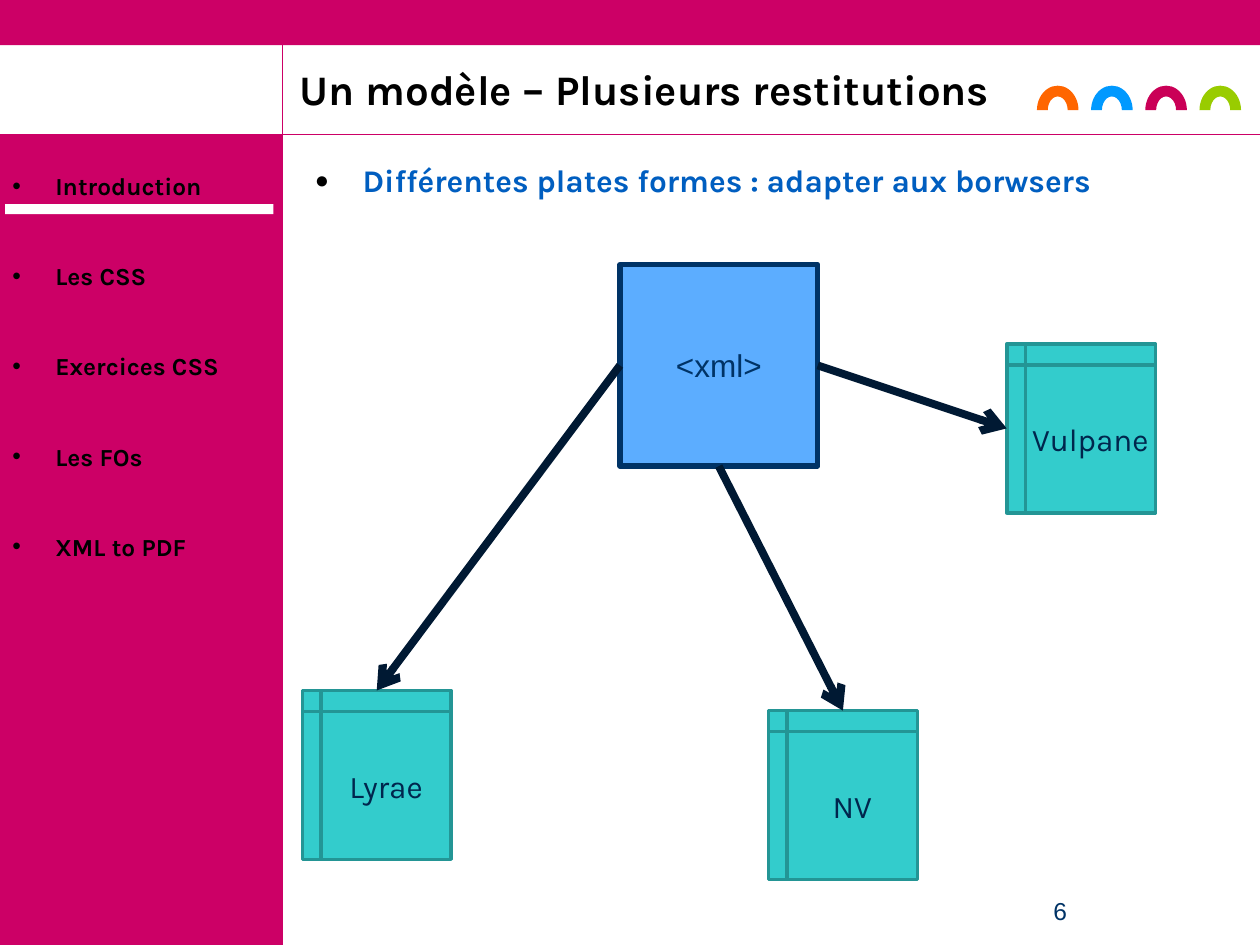
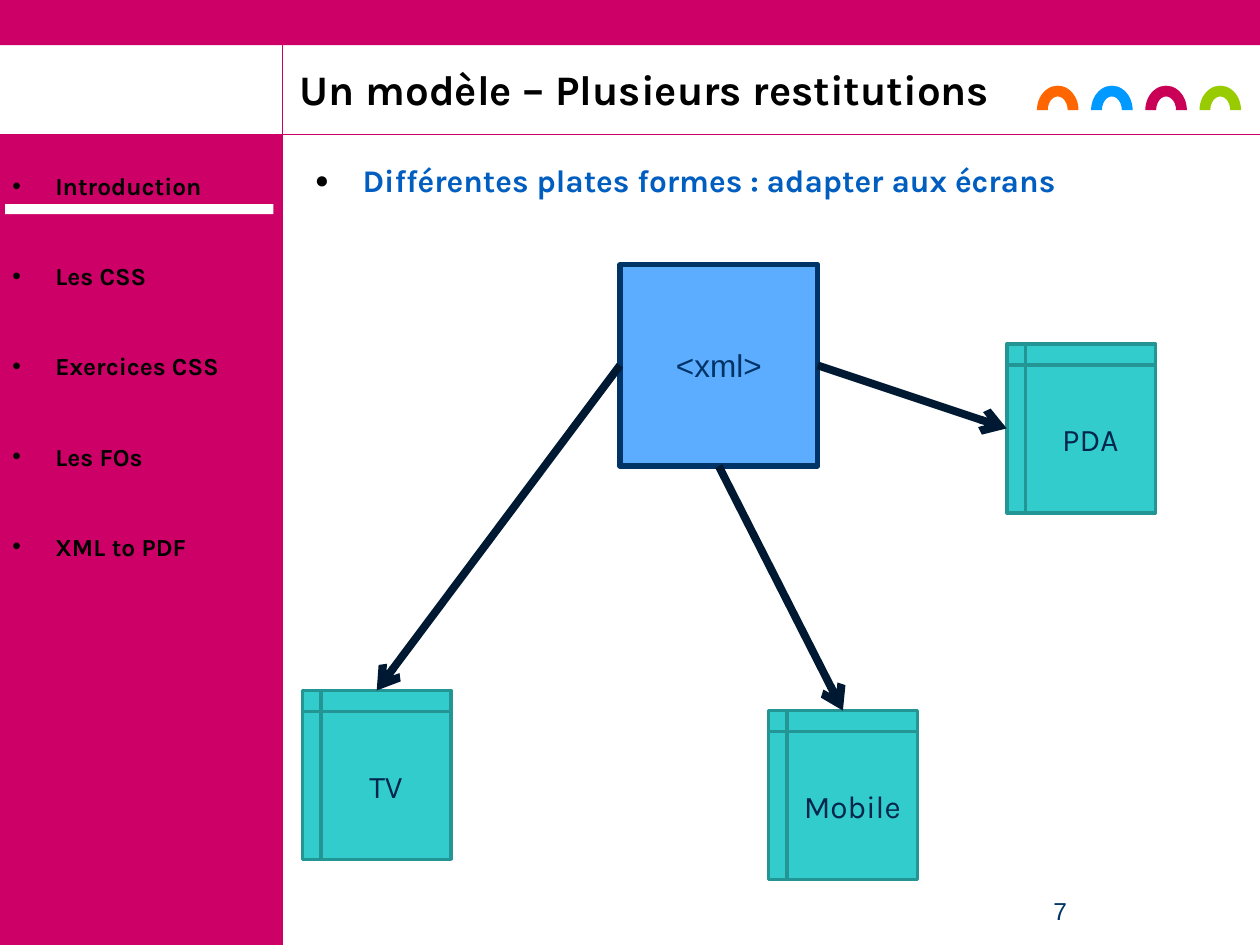
import pptx
import pptx.util
import pptx.dml.color
import pptx.enum.shapes
import pptx.enum.text
import pptx.oxml
import pptx.oxml.ns

Inches = pptx.util.Inches
Pt = pptx.util.Pt
RGBColor = pptx.dml.color.RGBColor
SHAPE = pptx.enum.shapes.MSO_SHAPE
STRAIGHT = pptx.enum.shapes.MSO_CONNECTOR.STRAIGHT
ANCHOR = pptx.enum.text.MSO_ANCHOR
ALIGN = pptx.enum.text.PP_ALIGN

TITLE = "Un modèle – Plusieurs restitutions"
CHAPTERS = ["Introduction", "Les CSS", "Exercices CSS", "Les FOs", "XML to PDF"]
SOURCE_LABEL = "<xml>"
SLIDES = [
    {
        "number": "6",
        "topic": "Différentes plates formes : adapter aux borwsers",
        "targets": ["Vulpane", "NV", "Lyrae"],
    },
    {
        "number": "7",
        "topic": "Différentes plates formes : adapter aux écrans",
        "targets": ["PDA", "Mobile", "TV"],
    },
]

BLACK = RGBColor(0x00, 0x00, 0x00)
WHITE = RGBColor(0xFF, 0xFF, 0xFF)
MAGENTA = RGBColor(0xCC, 0x00, 0x66)
TOPIC_BLUE = RGBColor(0x00, 0x5E, 0xC0)
NAVY = RGBColor(0x00, 0x33, 0x66)
SOURCE_BLUE = RGBColor(0x5C, 0xAD, 0xFF)
TARGET_TEAL = RGBColor(0x33, 0xCC, 0xCC)
TARGET_EDGE = RGBColor(0x23, 0x95, 0x95)
TARGET_INK = RGBColor(0x00, 0x26, 0x4D)
ARROW_INK = RGBColor(0x00, 0x19, 0x33)
ARCH_COLORS = [
    RGBColor(0xFF, 0x66, 0x00),
    RGBColor(0x00, 0x99, 0xFF),
    RGBColor(0xCA, 0x00, 0x57),
    RGBColor(0x99, 0xCC, 0x00),
]

WIDTH, HEIGHT = 10, 7.5
BAND_HEIGHT = 0.36
HEADER_BOTTOM = 1.07
SIDEBAR_WIDTH = 2.24
ARCH_LEFT, ARCH_PITCH = 8.23, 0.43
SOURCE_BOX = (4.92, 2.1, 1.57, 1.6)
TARGET_SIZE = (1.18, 1.34)
TOP, LEFT, BOTTOM, RIGHT = range(4)
ROUTES = [
    {"corner": (7.99, 2.73), "leaves": RIGHT, "enters": LEFT},
    {"corner": (6.1, 5.64), "leaves": BOTTOM, "enters": TOP},
    {"corner": (2.4, 5.48), "leaves": LEFT, "enters": TOP},
]

TITLE_FONT = {"name": "Karla", "size": Pt(24), "bold": True}
TOPIC_FONT = {"name": "Karla", "size": Pt(18), "bold": True}
CHAPTER_FONT = {"name": "Karla", "size": Pt(14), "bold": True}
TARGET_FONT = {"name": "Karla", "size": Pt(18)}
SOURCE_FONT = {"name": "Arial", "size": Pt(18)}
NUMBER_FONT = {"name": "Arial", "size": Pt(14)}


def apply(target, values):
    for name, value in values.items():
        setattr(target, name, value)


def write(paragraph, text, font, color, **layout):
    run = paragraph.add_run()
    run.text = text
    apply(run.font, font)
    run.font.color.rgb = color
    apply(paragraph, layout)


def add_bullet(paragraph, symbol, indent, percent=100):
    properties = paragraph._p.get_or_add_pPr()
    properties.set("marL", str(Inches(indent)))
    properties.set("indent", str(-Inches(indent)))
    namespace = pptx.oxml.ns.nsdecls("a")
    for markup in (
        f'<a:buClr {namespace}><a:srgbClr val="{BLACK}"/></a:buClr>',
        f'<a:buSzPct {namespace} val="{percent * 1000}"/>',
        f'<a:buFont {namespace} typeface="Arial"/>',
        f'<a:buChar {namespace} char="{symbol}"/>',
    ):
        properties.append(pptx.oxml.parse_xml(markup))


def add_text_area(slide, box, anchor=ANCHOR.TOP):
    frame = slide.shapes.add_textbox(*map(Inches, box)).text_frame
    apply(frame, {"word_wrap": True, "vertical_anchor": anchor})
    return frame


def add_block(slide, preset, box, fill, edge=None, edge_width=0):
    block = slide.shapes.add_shape(preset, *map(Inches, box))
    block.shadow.inherit = False
    block.fill.solid()
    block.fill.fore_color.rgb = fill
    if edge is None:
        block.line.fill.background()
    else:
        block.line.color.rgb = edge
        block.line.width = Pt(edge_width)
    return block


def add_node(slide, preset, box, fill, edge, edge_width, label, font, ink):
    node = add_block(slide, preset, box, fill, edge, edge_width)
    apply(node.text_frame, {"word_wrap": False, "vertical_anchor": ANCHOR.MIDDLE})
    write(node.text_frame.paragraphs[0], label, font, ink, alignment=ALIGN.CENTER)
    return node


def add_rule(slide, ends, color, width):
    rule = slide.shapes.add_connector(STRAIGHT, *map(Inches, ends))
    rule.line.color.rgb = color
    rule.line.width = Pt(width)
    namespace = pptx.oxml.ns.nsdecls("a")
    rule._element.spPr.append(pptx.oxml.parse_xml(f"<a:effectLst {namespace}/>"))
    return rule


def add_arrow(slide, source, leaves, target, enters):
    arrow = add_rule(slide, (0, 0, 1, 1), ARROW_INK, 4.5)
    arrow.begin_connect(source, leaves)
    arrow.end_connect(target, enters)
    namespace = pptx.oxml.ns.nsdecls("a")
    arrow.line._get_or_add_ln().append(
        pptx.oxml.parse_xml(f'<a:tailEnd {namespace} type="arrow"/>')
    )


def add_frame(slide):
    sidebar = (0, HEADER_BOTTOM, SIDEBAR_WIDTH, HEIGHT - HEADER_BOTTOM)
    for band in (sidebar, (0, 0, WIDTH, BAND_HEIGHT)):
        add_block(slide, SHAPE.RECTANGLE, band, MAGENTA)
    add_rule(slide, (0, HEADER_BOTTOM, WIDTH, HEADER_BOTTOM), MAGENTA, 0.75)
    add_rule(slide, (SIDEBAR_WIDTH, HEIGHT, SIDEBAR_WIDTH, 0), MAGENTA, 0.75)
    for index, color in enumerate(ARCH_COLORS):
        box = (ARCH_LEFT + index * ARCH_PITCH, 0.68, 0.33, 0.39)
        add_block(slide, SHAPE.BLOCK_ARC, box, color).adjustments[2] = 0.26

    menu = add_text_area(slide, (0, 1.31, 2.32, 3.66))
    for index, chapter in enumerate(CHAPTERS):
        entry = menu.add_paragraph() if index else menu.paragraphs[0]
        gap = Pt(34.7 if index else 8.8)
        write(entry, chapter, CHAPTER_FONT, BLACK, space_before=gap)
        add_bullet(entry, "•", 0.34)


def add_headings(slide, content):
    title = add_text_area(slide, (2.28, 0.48, 7.33, 0.48), ANCHOR.BOTTOM)
    write(title.paragraphs[0], TITLE, TITLE_FONT, BLACK, line_spacing=0.9)

    topic = add_text_area(slide, (2.4, 1.23, 7.4, 0.5)).paragraphs[0]
    write(topic, content["topic"], TOPIC_FONT, TOPIC_BLUE, space_before=Pt(4.5))
    add_bullet(topic, "●", 0.38, 75)

    number = add_text_area(slide, (7.84, 7.06, 1.15, 0.44)).paragraphs[0]
    write(number, content["number"], NUMBER_FONT, NAVY, alignment=ALIGN.CENTER)
    add_block(slide, SHAPE.RECTANGLE, (0.04, 1.62, 2.13, 0.08), WHITE)


def add_diagram(slide, labels):
    source = add_node(slide, SHAPE.RECTANGLE, SOURCE_BOX, SOURCE_BLUE, NAVY, 3,
                      SOURCE_LABEL, SOURCE_FONT, NAVY)
    targets = [
        add_node(slide, SHAPE.FLOWCHART_INTERNAL_STORAGE, route["corner"] + TARGET_SIZE,
                 TARGET_TEAL, TARGET_EDGE, 2, label, TARGET_FONT, TARGET_INK)
        for label, route in zip(labels, ROUTES)
    ]
    for target, route in zip(targets, ROUTES):
        add_arrow(slide, source, route["leaves"], target, route["enters"])


def main():
    deck = pptx.Presentation()
    apply(deck, {"slide_width": Inches(WIDTH), "slide_height": Inches(HEIGHT)})
    for content in SLIDES:
        slide = deck.slides.add_slide(deck.slide_layouts[6])
        add_frame(slide)
        add_headings(slide, content)
        add_diagram(slide, content["targets"])
    deck.save("out.pptx")


if __name__ == "__main__":
    main()
